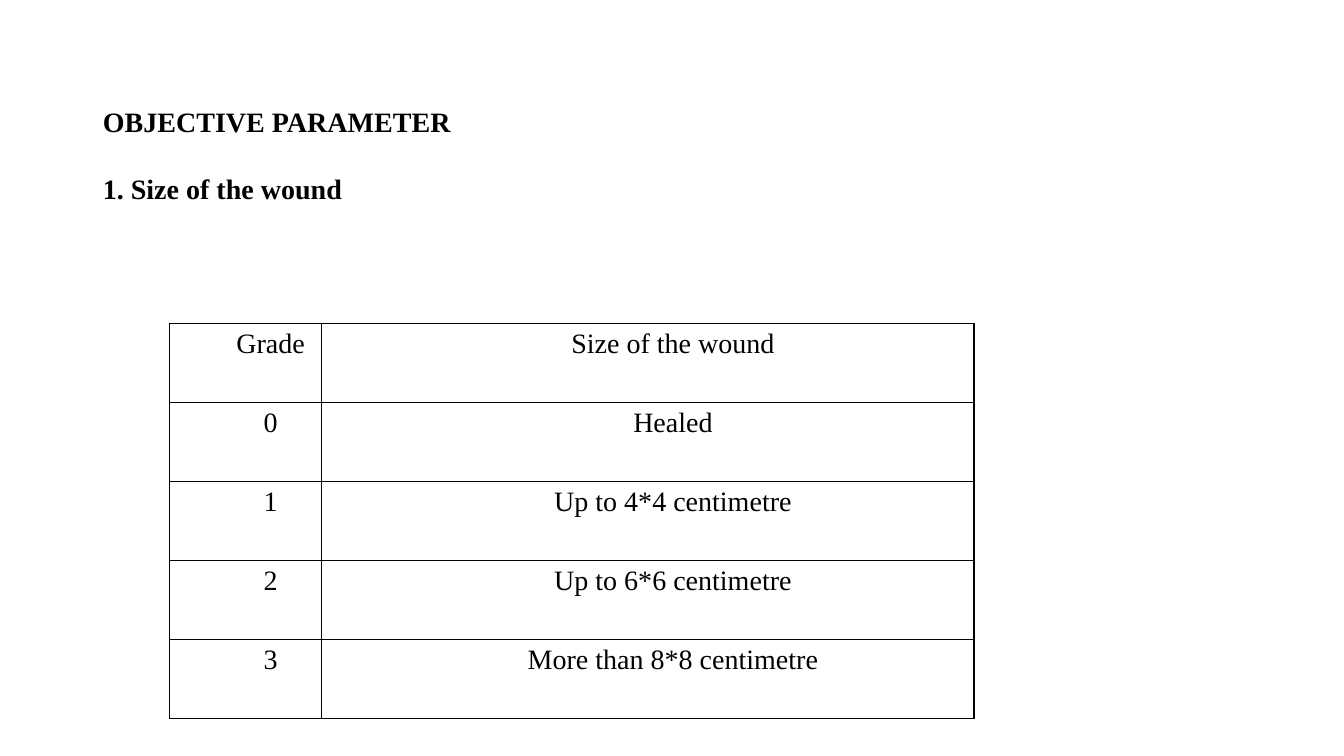
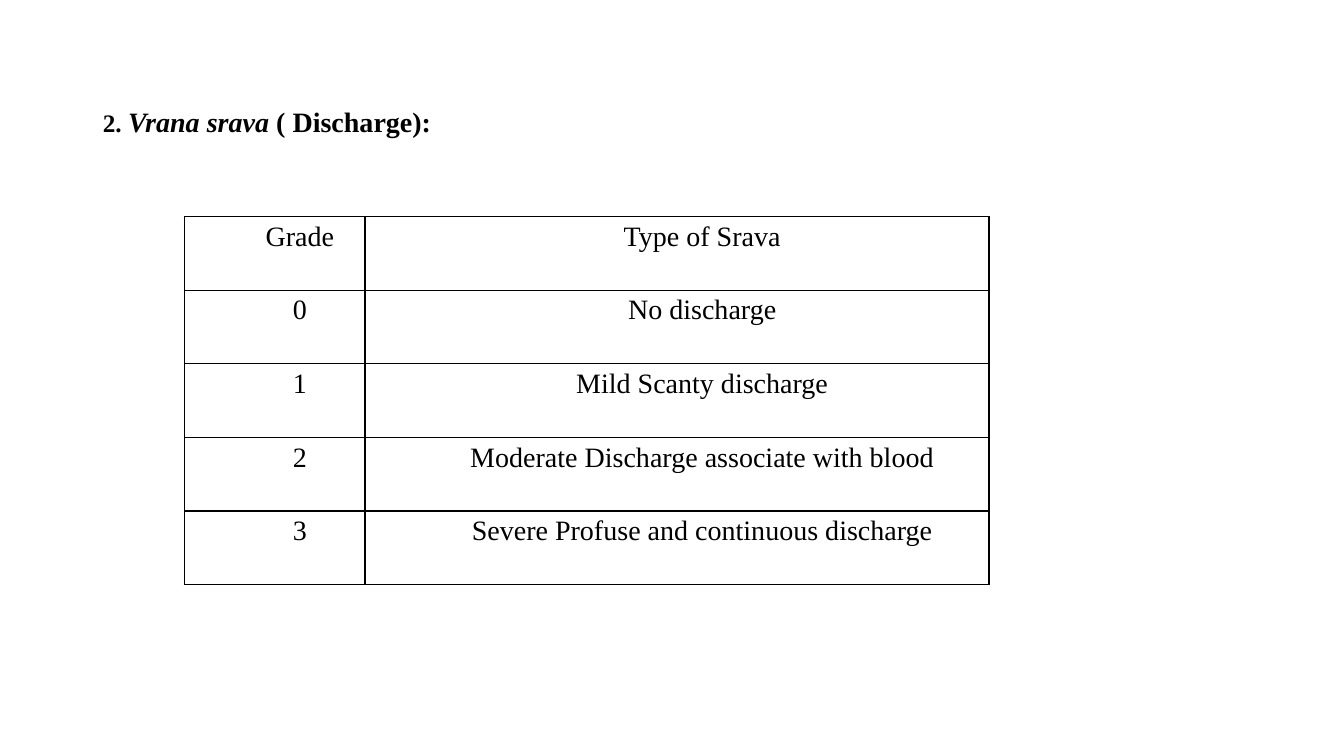
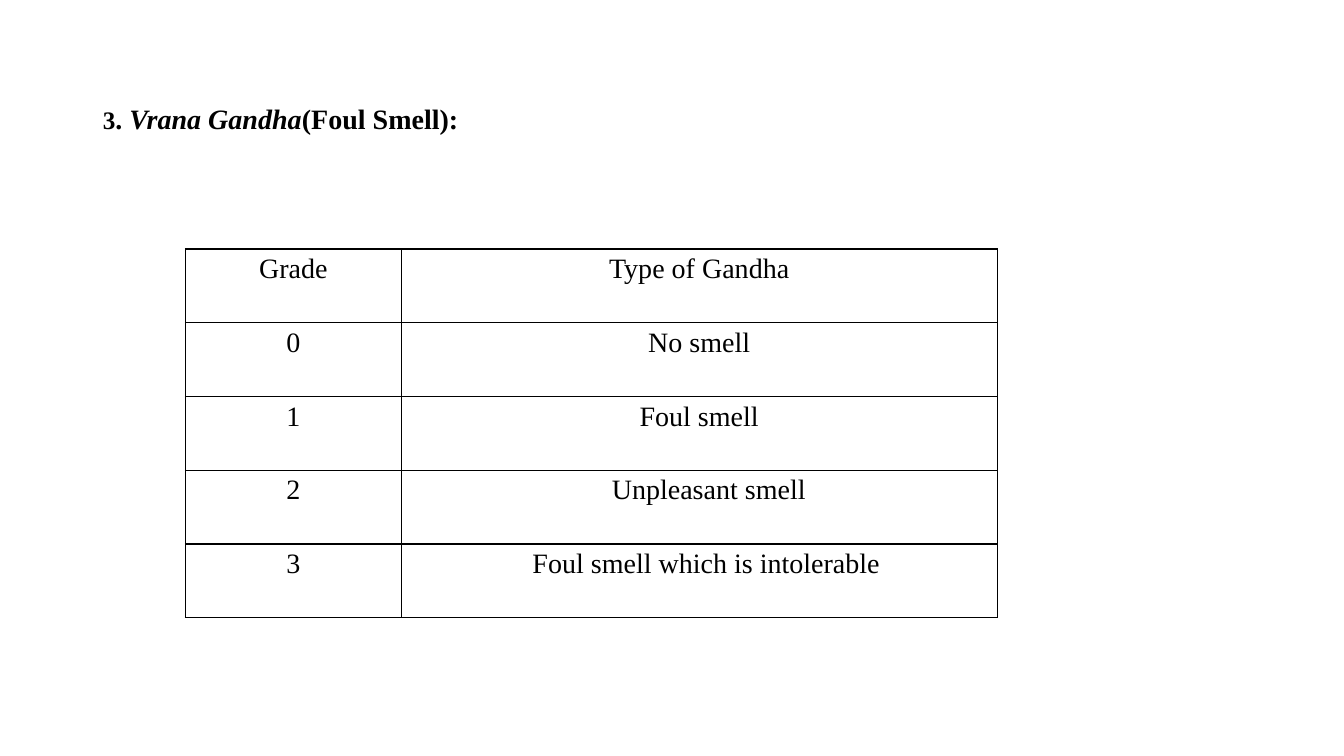
import dataclasses

import lxml.etree
import pptx
import pptx.dml.color
import pptx.enum.text
import pptx.oxml.ns
import pptx.util

Inches = pptx.util.Inches
Pt = pptx.util.Pt
Align = pptx.enum.text.PP_ALIGN
qn = pptx.oxml.ns.qn


@dataclasses.dataclass(frozen=True)
class Theme:
    ink: str = "000000"
    paper: str = "FFFFFF"
    font: str = "Times New Roman"
    text_size: int = 20
    number_size: int = 18
    border_width: int = 1
    paragraph_gap: int = 10
    loose_lines: float = 1.15
    tight_lines: float = 0.9
    cell_inset: float = 0.07
    grade_indent: float = 0.5


@dataclasses.dataclass(frozen=True)
class Box:
    left: float
    top: float
    width: float
    height: float

    def lengths(self):
        return [Inches(side) for side in dataclasses.astuple(self)]


@dataclasses.dataclass(frozen=True)
class Words:
    text: str
    size: int
    bold: bool = False
    italic: bool = False


THEME = Theme()


def add_run(paragraph, words):
    run = paragraph.add_run()
    run.text = words.text
    run.font.name = THEME.font
    run.font.size = Pt(words.size)
    run.font.bold = words.bold
    run.font.italic = words.italic
    run.font.color.rgb = pptx.dml.color.RGBColor.from_string(THEME.ink)


def format_paragraph(paragraph, align, line_spacing, before=0, after=0, indent=0):
    paragraph.alignment = align
    paragraph.line_spacing = line_spacing
    paragraph.space_before = Pt(before)
    paragraph.space_after = Pt(after)
    properties = paragraph._p.get_or_add_pPr()
    properties.set("marL", str(Inches(indent)))
    properties.set("indent", "0")
    return properties


def heading(text, size=THEME.text_size, italic=False):
    return Words(text, size, True, italic)


def place_headings(slide, box, headings, align, line_spacing, after):
    body = slide.placeholders[1]
    body.left, body.top, body.width, body.height = box.lengths()
    frame = body.text_frame
    frame.word_wrap = True
    frame.auto_size = pptx.enum.text.MSO_AUTO_SIZE.NONE
    frame.vertical_anchor = pptx.enum.text.MSO_ANCHOR.TOP
    for index, runs in enumerate(headings):
        paragraph = frame.add_paragraph() if index else frame.paragraphs[0]
        properties = format_paragraph(
            paragraph, align, line_spacing, THEME.paragraph_gap, after
        )
        lxml.etree.SubElement(properties, qn("a:buNone"))
        for words in runs:
            add_run(paragraph, words)


def border_cell(cell):
    properties = cell._tc.get_or_add_tcPr()
    for position, edge in enumerate(("a:lnL", "a:lnR", "a:lnT", "a:lnB")):
        line = lxml.etree.Element(qn(edge), w=str(Pt(THEME.border_width)))
        fill = lxml.etree.SubElement(line, qn("a:solidFill"))
        lxml.etree.SubElement(fill, qn("a:srgbClr"), val=THEME.ink)
        properties.insert(position, line)


def fill_cell(cell, text, indent):
    cell.margin_left = cell.margin_right = Inches(THEME.cell_inset)
    cell.margin_top = cell.margin_bottom = 0
    cell.fill.background()
    border_cell(cell)
    paragraph = cell.text_frame.paragraphs[0]
    format_paragraph(
        paragraph,
        Align.CENTER,
        THEME.loose_lines,
        after=THEME.paragraph_gap,
        indent=indent,
    )
    add_run(paragraph, Words(text, THEME.text_size))


def place_grades(slide, box, grade_width, descriptions, indent=0, row_indents=None):
    row_indents = row_indents or {}
    grades = slide.shapes.add_table(len(descriptions), 2, *box.lengths()).table
    grades.first_row = grades.horz_banding = False
    grades.columns[0].width = Inches(grade_width)
    grades.columns[1].width = Inches(box.width - grade_width)
    for row, description in enumerate(descriptions):
        grades.rows[row].height = Inches(box.height / len(descriptions))
        label = str(row - 1) if row else "Grade"
        fill_cell(grades.cell(row, 0), label, indent)
        fill_cell(grades.cell(row, 1), description, row_indents.get(row, indent))


def add_parameter_slide(
    deck,
    heading_box,
    headings,
    grades_box,
    grade_width,
    descriptions,
    align=Align.LEFT,
    line_spacing=THEME.tight_lines,
    after=0,
    indent=0,
    row_indents=None,
):
    slide = deck.slides.add_slide(deck.slide_layouts[1])
    background = slide.background.fill
    background.solid()
    background.fore_color.rgb = pptx.dml.color.RGBColor.from_string(THEME.paper)
    title = slide.shapes.title._element
    title.getparent().remove(title)
    place_headings(slide, heading_box, headings, align, line_spacing, after)
    place_grades(slide, grades_box, grade_width, descriptions, indent, row_indents)


def main():
    deck = pptx.Presentation()
    deck.slide_width = Inches(13.33)
    deck.slide_height = Inches(7.5)

    add_parameter_slide(
        deck,
        Box(0.92, 0.94, 11.5, 5.82),
        [[heading("OBJECTIVE PARAMETER")], [heading("1. Size of the wound")]],
        Box(1.68, 3.21, 7.98, 3.92),
        1.51,
        [
            "Size of the wound",
            "Healed",
            "Up to 4*4 centimetre",
            "Up to 6*6 centimetre",
            "More than 8*8 centimetre",
        ],
        align=Align.JUSTIFY,
        line_spacing=THEME.loose_lines,
        after=THEME.paragraph_gap,
        indent=THEME.grade_indent,
    )
    add_parameter_slide(
        deck,
        Box(0.92, 1.02, 11.5, 5.73),
        [
            [
                heading("2. ", THEME.number_size),
                heading("Vrana srava ", italic=True),
                heading("( Discharge):"),
            ]
        ],
        Box(1.83, 2.15, 7.98, 3.65),
        1.79,
        [
            "Type of Srava",
            "No discharge",
            "Mild Scanty discharge",
            "Moderate Discharge associate with blood",
            "Severe Profuse and continuous discharge",
        ],
        indent=THEME.grade_indent,
    )
    add_parameter_slide(
        deck,
        Box(0.92, 0.99, 11.5, 5.77),
        [
            [
                heading("3", THEME.number_size),
                heading(". "),
                heading("Vrana Gandha", italic=True),
                heading("(Foul Smell):"),
            ]
        ],
        Box(1.84, 2.47, 8.05, 3.66),
        2.14,
        [
            "Type of Gandha",
            "No smell",
            "Foul smell",
            "Unpleasant smell",
            "Foul smell which is intolerable",
        ],
        row_indents={3: 0.19, 4: 0.14},
    )
    deck.save("out.pptx")


if __name__ == "__main__":
    main()
